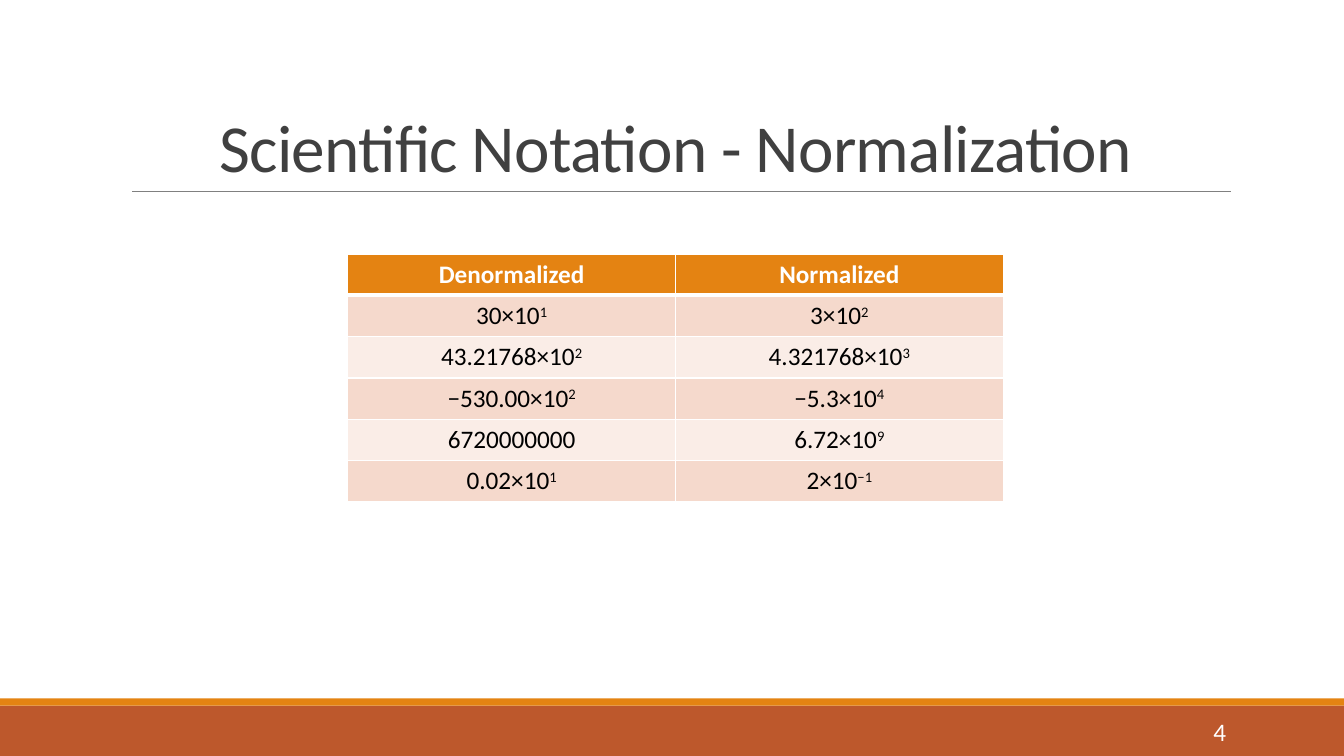
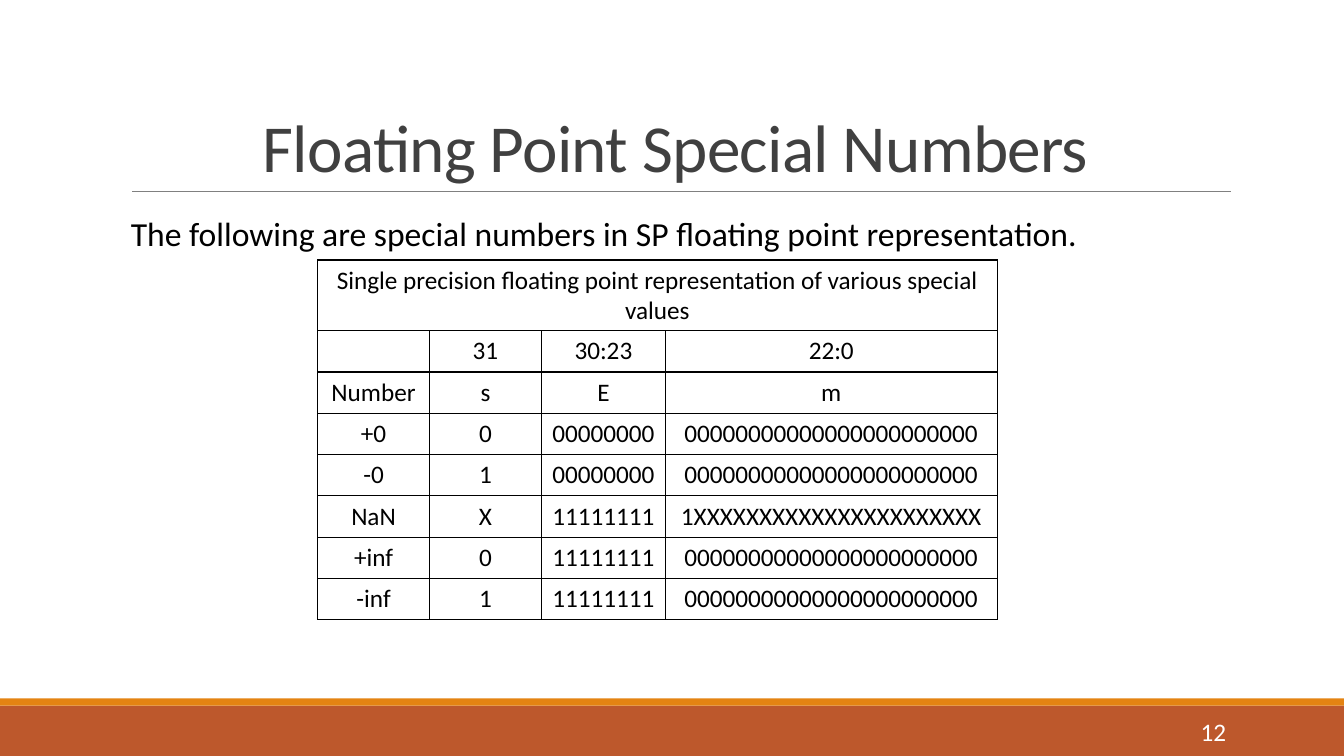
from dataclasses import dataclass

from lxml import etree
from pptx import Presentation
from pptx.dml.color import RGBColor
from pptx.enum.shapes import MSO_CONNECTOR, MSO_SHAPE
from pptx.enum.text import MSO_ANCHOR, PP_ALIGN
from pptx.oxml.ns import qn
from pptx.util import Inches, Pt

LEFT, MID, RIGHT = PP_ALIGN.LEFT, PP_ALIGN.CENTER, PP_ALIGN.RIGHT
TOP, CENTER, BOTTOM = MSO_ANCHOR.TOP, MSO_ANCHOR.MIDDLE, MSO_ANCHOR.BOTTOM
RECT, LINE = MSO_SHAPE.RECTANGLE, MSO_CONNECTOR.STRAIGHT


@dataclass(frozen=True)
class Theme:
    font: str = "Calibri"
    title: int = 48
    body: int = 24
    small: int = 18
    ink: str = "000000"
    paper: str = "FFFFFF"
    head: str = "404040"
    rule: str = "808080"
    band: str = "BD582C"
    strip: str = "E48312"
    tints: tuple = ("F5D9CC", "FAEDE7")


T = Theme()
WIDE, HIGH = 13.33, 7.5
EDGE, SPAN = 1.2, 11
BAND, STRIP = 0.5, 0.07
ROW = 0.41

ZERO, ONES, BLANK = "0" * 8, "1" * 8, "0" * 23

# A caret marks the start of a superscript.
FORMS = [
    ("Denormalized", "Normalized"),
    ("30×10^1", "3×10^2"),
    ("43.21768×10^2", "4.321768×10^3"),
    ("−530.00×10^2", "−5.3×10^4"),
    ("6720000000", "6.72×10^9"),
    ("0.02×10^1", "2×10^−1"),
]
LEAD = "The following are special numbers in SP floating point representation."
VALUES = [
    ("Single precision floating point representation of various special values",
     "", "", ""),
    ("", "31", "30:23", "22:0"),
    ("Number", "s", "E", "m"),
    ("+0", "0", ZERO, BLANK),
    ("-0", "1", ZERO, BLANK),
    ("NaN", "X", ONES, "1" + "X" * 22),
    ("+inf", "0", ONES, BLANK),
    ("-inf", "1", ONES, BLANK),
]


def color(code):
    return RGBColor.from_string(code)


def style(run, size, tone, bold=False):
    font = run.font
    font.name, font.size, font.bold = T.font, Pt(size), bold
    font.color.rgb = color(tone)


def add_text(slide, text, box, size, tone, align=LEFT, anchor=TOP):
    frame = slide.shapes.add_textbox(*map(Inches, box)).text_frame
    frame.word_wrap = True
    frame.vertical_anchor = anchor
    frame.text = text
    para = frame.paragraphs[0]
    para.alignment = align
    style(para.runs[0], size, tone)
    return para


def add_bar(slide, top, height, tone):
    bar = slide.shapes.add_shape(
        RECT, 0, Inches(top), Inches(WIDE), Inches(height))
    bar.shadow.inherit = False
    bar.fill.solid()
    bar.fill.fore_color.rgb = color(tone)
    bar.line.fill.background()


def add_page(deck, title, number):
    """Add a slide with the shared bands, rule, title and page number."""
    slide = deck.slides.add_slide(deck.slide_layouts[6])
    add_bar(slide, HIGH - BAND, BAND, T.band)
    add_bar(slide, HIGH - BAND - STRIP, STRIP, T.strip)
    rule = slide.shapes.add_connector(
        LINE, *map(Inches, (1.31, 1.9, 12.21, 1.9)))
    rule.line.color.rgb = color(T.rule)
    rule.line.width = Pt(0.5)
    etree.SubElement(rule._element.spPr, qn("a:effectLst"))
    para = add_text(slide, title, (EDGE, 0.31, SPAN, 1.59),
                    T.title, T.head, MID, BOTTOM)
    para.line_spacing = 0.85
    para.runs[0]._r.get_or_add_rPr().set("spc", "-50")
    add_text(slide, str(number), (10.83, 7.06, 1.43, 0.4),
             T.small, T.paper, RIGHT, CENTER)
    return slide


def add_edge(cell, side, tone, width):
    props = cell._tc.get_or_add_tcPr()
    line = etree.SubElement(props, qn("a:ln" + side), w=str(Pt(width)))
    fill = etree.SubElement(line, qn("a:solidFill"))
    etree.SubElement(fill, qn("a:srgbClr"), val=tone)


def fill_cell(cell, text, tone, bold):
    """Write centred text, raising whatever follows a caret."""
    cell.vertical_anchor = CENTER
    cell.margin_left = cell.margin_right = Inches(0.07)
    para = cell.text_frame.paragraphs[0]
    para.alignment = MID
    for level, part in enumerate(text.split("^")):
        if part:
            run = para.add_run()
            run.text = part
            style(run, T.small, tone, bold)
            if level:
                run._r.get_or_add_rPr().set("baseline", "30000")


def add_grid(slide, data, left, top, cols, rows, edge, banded):
    """Add a table; banded gives it a coloured header and tinted rows."""
    box = map(Inches, (left, top, sum(cols), sum(rows)))
    table = slide.shapes.add_table(len(rows), len(cols), *box).table
    table.first_row = table.horz_banding = False
    for col, width in zip(table.columns, cols):
        col.width = Inches(width)
    for r, (line, height) in enumerate(zip(data, rows)):
        table.rows[r].height = Inches(height)
        header = banded and r == 0
        for c, text in enumerate(line):
            cell = table.cell(r, c)
            fill_cell(cell, text, T.paper if header else T.ink, header)
            for side in "LRTB":
                thick = banded and (r, side) in ((0, "B"), (1, "T"))
                add_edge(cell, side, edge, 3 if thick else 1)
            if banded:
                cell.fill.solid()
                tint = T.strip if header else T.tints[(r - 1) % 2]
                cell.fill.fore_color.rgb = color(tint)
            else:
                cell.fill.background()
    return table


def main():
    deck = Presentation()
    deck.slide_width, deck.slide_height = Inches(WIDE), Inches(HIGH)

    slide = add_page(deck, "Scientific Notation - Normalization", 4)
    add_grid(slide, FORMS, 3.45, 2.52, [3.25] * 2, [ROW] * len(FORMS),
             T.paper, True)

    slide = add_page(deck, "Floating Point Special Numbers", 12)
    add_text(slide, LEAD, (EDGE, 2.06, SPAN, 0.5), T.body, T.ink)
    rows = [0.69] + [ROW] * (len(VALUES) - 1)
    table = add_grid(slide, VALUES, 3.15, 2.58, [1.11, 1.11, 1.23, 3.29],
                     rows, T.ink, False)
    table.cell(0, 0).merge(table.cell(0, 3))

    deck.save("out.pptx")


if __name__ == "__main__":
    main()
